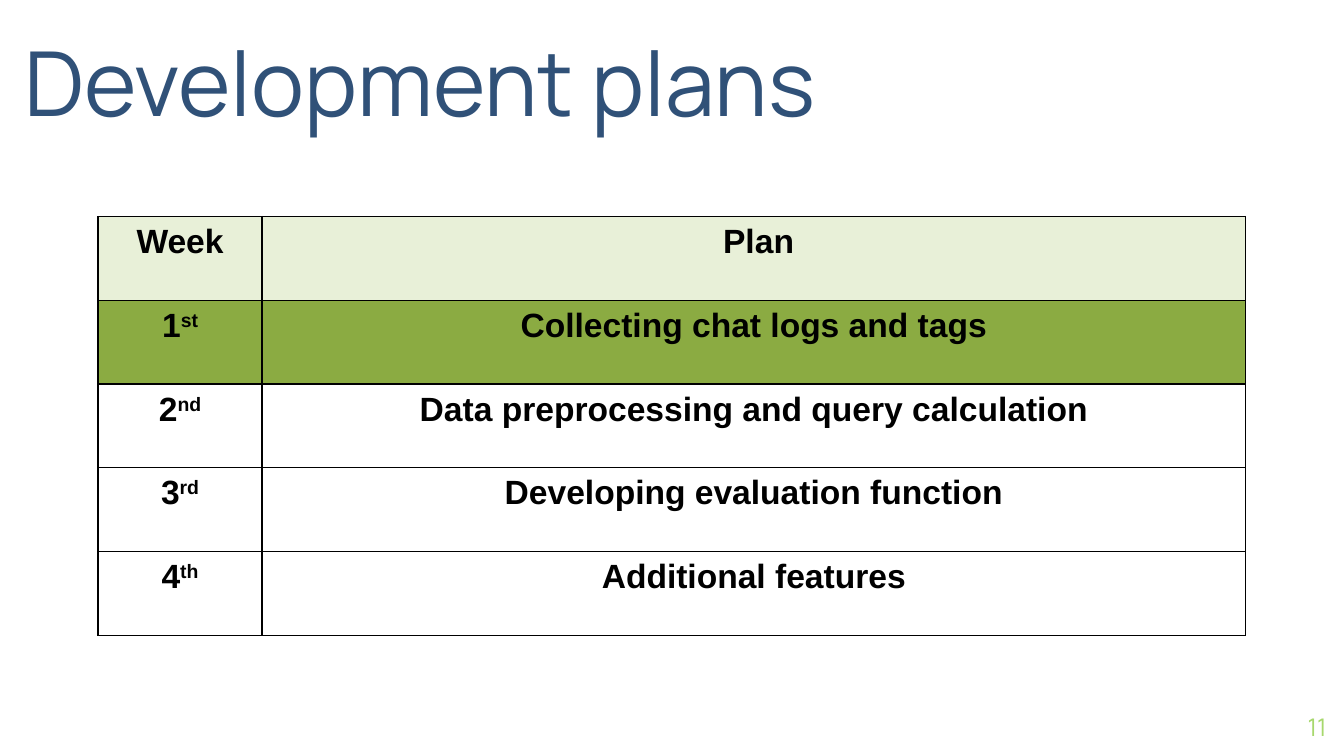
from dataclasses import dataclass

from lxml import etree
from pptx import Presentation
from pptx.dml.color import RGBColor
from pptx.enum.text import MSO_ANCHOR, MSO_AUTO_SIZE, PP_ALIGN
from pptx.oxml.ns import qn
from pptx.util import Inches, Pt

LEFT, CENTER, RIGHT = PP_ALIGN.LEFT, PP_ALIGN.CENTER, PP_ALIGN.RIGHT
BOTTOM, MIDDLE = MSO_ANCHOR.BOTTOM, MSO_ANCHOR.MIDDLE
NO_AUTOFIT = MSO_AUTO_SIZE.NONE
TITLE_ONLY = 5
WIDTH = 10
HEIGHT = WIDTH * 9 / 16


@dataclass(frozen=True)
class Theme:
    heading_font: str = "Manrope"
    body_font: str = "Arial"
    title_size: float = 48
    table_size: float = 18
    number_size: float = 13
    border_width: float = 0.75
    title: str = "305178"
    number: str = "A7D86D"
    ink: str = "000000"
    header: str = "E8F0D8"
    current: str = "8BAB42"
    plain: str = "FFFFFF"


THEME = Theme()

HEADINGS = ("Week", " Plan")
CURRENT_WEEK = 1
PLANS = (
    ("1", "st", "Collecting chat logs and tags"),
    ("2", "nd", "Data preprocessing and query calculation"),
    ("3", "rd", "Developing evaluation function"),
    ("4", "th", "Additional features"),
)


def box(left, top, width, height):
    """Turn inches into the left, top, width and height of a region."""
    return tuple(Inches(length) for length in (left, top, width, height))


def style(paragraph, font_name, size, color, align, bold=False):
    paragraph.alignment = align
    font = paragraph.font
    font.name, font.size, font.bold = font_name, Pt(size), bold
    font.color.rgb = RGBColor.from_string(color)


def place_heading_text(shape, area, text, size, color, align, anchor):
    shape.left, shape.top, shape.width, shape.height = area
    frame = shape.text_frame
    frame.word_wrap = True
    frame.auto_size = NO_AUTOFIT
    frame.vertical_anchor = anchor
    frame.margin_left = frame.margin_right = 0
    frame.margin_top = frame.margin_bottom = 0
    frame.text = text
    style(frame.paragraphs[0], THEME.heading_font, size, color, align)


def add_title(slide, area):
    place_heading_text(slide.shapes.title, area, "Development plans",
                       THEME.title_size, THEME.title, LEFT, BOTTOM)


def add_page_number(slide, area):
    place_heading_text(slide.shapes.add_textbox(*area), area, "11",
                       THEME.number_size, THEME.number, RIGHT, MIDDLE)


def outline(cell):
    properties = cell._tc.get_or_add_tcPr()
    for side in ("a:lnL", "a:lnR", "a:lnT", "a:lnB"):
        line = etree.SubElement(properties, qn(side), w=str(Pt(THEME.border_width)))
        fill = etree.SubElement(line, qn("a:solidFill"))
        etree.SubElement(fill, qn("a:srgbClr"), val=THEME.ink)


def fill_cell(cell, fill, text, superscript=""):
    outline(cell)
    cell.fill.solid()
    cell.fill.fore_color.rgb = RGBColor.from_string(fill)
    paragraph = cell.text_frame.paragraphs[0]
    style(paragraph, THEME.body_font, THEME.table_size, THEME.ink, CENTER, bold=True)
    paragraph.add_run().text = text
    if superscript:
        suffix = paragraph.add_run()
        suffix.text = superscript
        suffix._r.get_or_add_rPr().set("baseline", "30000")


def add_schedule(slide, area):
    width, height = area[2:]
    row_count = len(PLANS) + 1
    table = slide.shapes.add_table(row_count, len(HEADINGS), *area).table
    table.first_row = table.horz_banding = False
    table.columns[0].width = width // 7
    table.columns[1].width = width - width // 7
    for row in table.rows:
        row.height = height // row_count

    for column, heading in enumerate(HEADINGS):
        fill_cell(table.cell(0, column), THEME.header, heading)
    for week, (number, suffix, plan) in enumerate(PLANS, start=1):
        fill = THEME.current if week == CURRENT_WEEK else THEME.plain
        fill_cell(table.cell(week, 0), fill, number, suffix)
        fill_cell(table.cell(week, 1), fill, plan)


def main():
    presentation = Presentation()
    presentation.slide_width = Inches(WIDTH)
    presentation.slide_height = Inches(HEIGHT)
    slide = presentation.slides.add_slide(presentation.slide_layouts[TITLE_ONLY])
    margin = 0.73
    add_page_number(slide, box(9.27, 5.19, 0.6, 0.43))
    add_title(slide, box(0.18, 0.06, 6.89, 0.94))
    add_schedule(slide, box(margin, 1.61, WIDTH - 2 * margin, 3.12))
    presentation.save("out.pptx")


if __name__ == "__main__":
    main()
